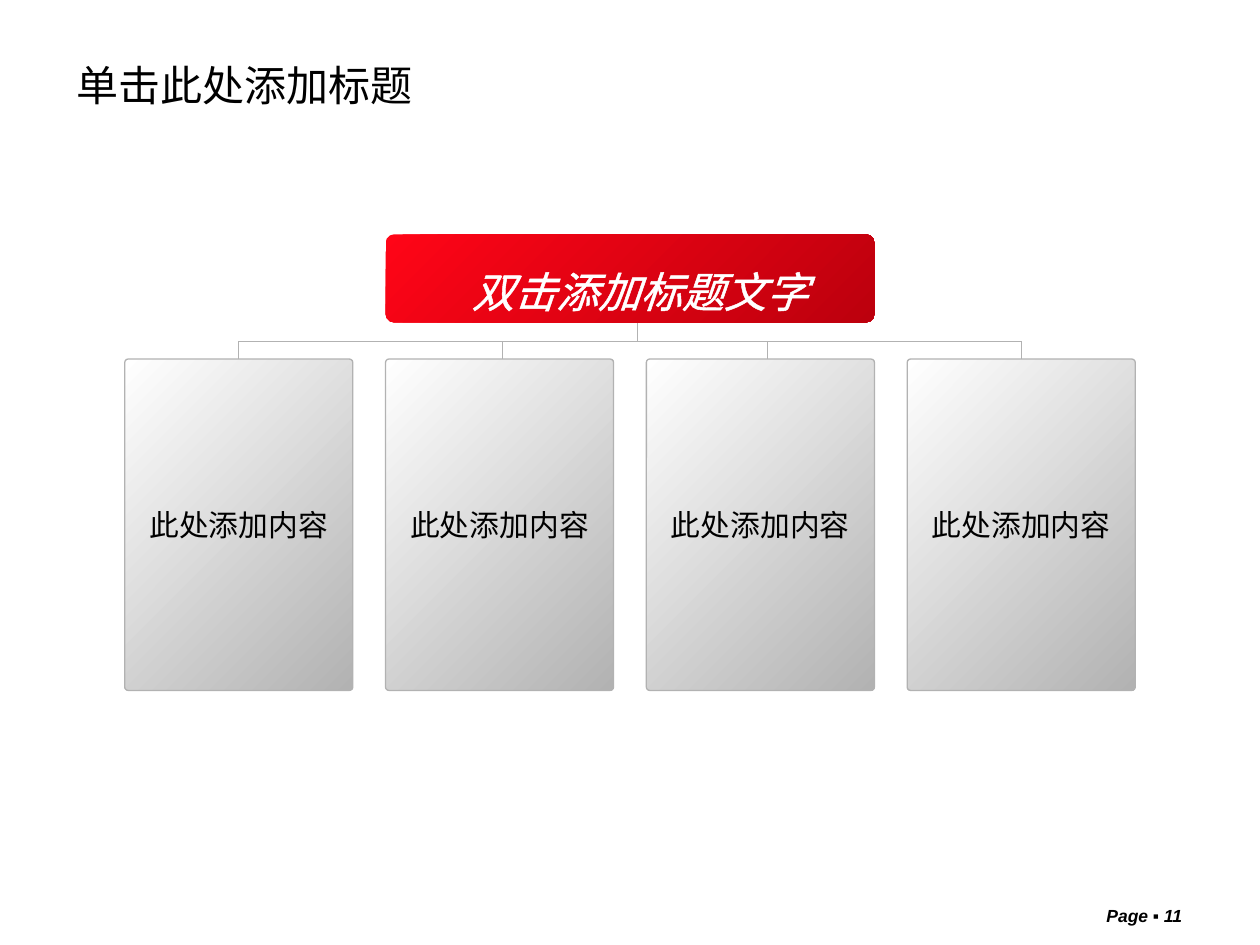
from dataclasses import dataclass
from typing import Optional

import pptx
import pptx.dml.color
import pptx.enum.shapes
import pptx.enum.text
import pptx.oxml
import pptx.oxml.ns
import pptx.util

Inches = pptx.util.Inches
Align = pptx.enum.text.PP_ALIGN
Anchor = pptx.enum.text.MSO_ANCHOR
SPACE = pptx.oxml.ns.nsdecls("a")


@dataclass(frozen=True)
class Theme:
    black: str = "000000"
    white: str = "FFFFFF"
    gray: str = "B2B2B2"
    red: str = "FF0517"
    dark: str = "BC000D"
    latin: str = "Arial"
    asian: str = "Noto Sans CJK SC"
    title: float = 24
    body: float = 17
    foot: float = 10
    edge: float = 0.75
    wire: float = 0.5


@dataclass(frozen=True)
class Box:
    x: float
    y: float
    w: float
    h: float

    def place(self) -> list:
        return [Inches(n) for n in (self.x, self.y, self.w, self.h)]


@dataclass(frozen=True)
class Panel:
    box: Box
    start: str
    stop: str
    round: float
    line: Optional[str] = None


THEME = Theme()


def color(code: str) -> pptx.dml.color.RGBColor:
    return pptx.dml.color.RGBColor.from_string(code)


def write(shape, text: str, *, size: float, tone: str = THEME.black,
          font: str = THEME.latin, bold: bool = False, italic: bool = False,
          align=Align.LEFT, anchor=Anchor.TOP,
          inset: tuple = (0.1, 0.05), outline: bool = False) -> None:
    """Put one formatted line of text in a shape."""
    frame = shape.text_frame
    frame.word_wrap = True
    frame.vertical_anchor = anchor
    frame.margin_left = frame.margin_right = Inches(inset[0])
    frame.margin_top = frame.margin_bottom = Inches(inset[1])
    para = frame.paragraphs[0]
    para.alignment = align
    run = para.add_run()
    run.text = text
    run.font.size = pptx.util.Pt(size)
    run.font.name = font
    run.font.bold = bold
    run.font.italic = italic
    run.font.color.rgb = color(tone)
    props = run._r.get_or_add_rPr()
    if font == THEME.asian:
        props.append(pptx.oxml.parse_xml(f'<a:ea {SPACE} typeface="{font}"/>'))
    if outline:
        width = pptx.util.Pt(THEME.edge)
        props.insert(0, pptx.oxml.parse_xml(
            f'<a:ln {SPACE} w="{width}"><a:solidFill>'
            f'<a:srgbClr val="{tone}"/></a:solidFill></a:ln>'))


def label(slide, box: Box, text: str, **style) -> None:
    write(slide.shapes.add_textbox(*box.place()), text, **style)


def draw(slide, panel: Panel):
    """Draw a rounded panel with a diagonal gradient."""
    kind = pptx.enum.shapes.MSO_SHAPE.ROUNDED_RECTANGLE
    shape = slide.shapes.add_shape(kind, *panel.box.place())
    shape.shadow.inherit = False
    shape.adjustments[0] = panel.round
    shape.fill.gradient()
    shape.fill.gradient_angle = 315  # counted anticlockwise
    for stop, code in zip(shape.fill.gradient_stops, (panel.start, panel.stop)):
        stop.color.rgb = color(code)
    if panel.line:
        shape.line.color.rgb = color(panel.line)
        shape.line.width = pptx.util.Pt(THEME.edge)
    else:
        shape.line.fill.background()
    return shape


def wire(slide, x1: float, y1: float, x2: float, y2: float):
    kind = pptx.enum.shapes.MSO_CONNECTOR.STRAIGHT
    line = slide.shapes.add_connector(kind, *map(Inches, (x1, y1, x2, y2)))
    line.line.color.rgb = color(THEME.gray)
    line.line.width = pptx.util.Pt(THEME.wire)
    line._element.spPr.append(pptx.oxml.parse_xml(f"<a:effectLst {SPACE}/>"))
    return line


def main() -> None:
    deck = pptx.Presentation()
    deck.slide_width, deck.slide_height = Inches(10), Inches(7.5)
    slide = deck.slides.add_slide(deck.slide_layouts[6])

    # Page number and title
    label(slide, Box(7.91, 7.13, 1.57, 0.22), "Page ▪ 11", size=THEME.foot,
          bold=True, italic=True, align=Align.RIGHT)
    label(slide, Box(0.51, 0.35, 6.38, 0.65), "单击此处添加标题",
          size=THEME.title, anchor=Anchor.MIDDLE)

    # Trunk and inner drops, tucked behind the panels
    bus = 2.71
    wire(slide, 5.06, 2.48, 5.06, bus)
    for x in (3.99, 6.09):
        wire(slide, x, bus, x, 2.93)

    # Banner and content cards
    draw(slide, Panel(Box(3.06, 1.86, 3.88, 0.7), THEME.red, THEME.dark, 0.098))
    left, top, wide, high, step = 0.99, 2.85, 1.81, 2.63, 2.07
    cards = []
    for i in range(4):
        box = Box(left + i * step, top, wide, high)
        card = draw(slide, Panel(box, THEME.white, THEME.gray, 0.015, THEME.gray))
        write(card, "此处添加内容", size=THEME.body, align=Align.CENTER,
              anchor=Anchor.MIDDLE, inset=(0.13, 0.06))
        cards.append(card)

    # Bus with outer drops joined to the first and last card
    first = left + wide / 2
    last = first + 3 * step
    wire(slide, first, bus, last, bus)
    for x, card in ((first, cards[0]), (last, cards[-1])):
        wire(slide, x, bus, x, top).end_connect(card, 0)

    # Banner heading, wide enough for one line
    label(slide, Box(3.48, 2.06, 3.2, 0.5), "双击添加标题文字",
          size=THEME.title, tone=THEME.white, font=THEME.asian, italic=True,
          align=Align.CENTER, outline=True)

    deck.save("out.pptx")


if __name__ == "__main__":
    main()
